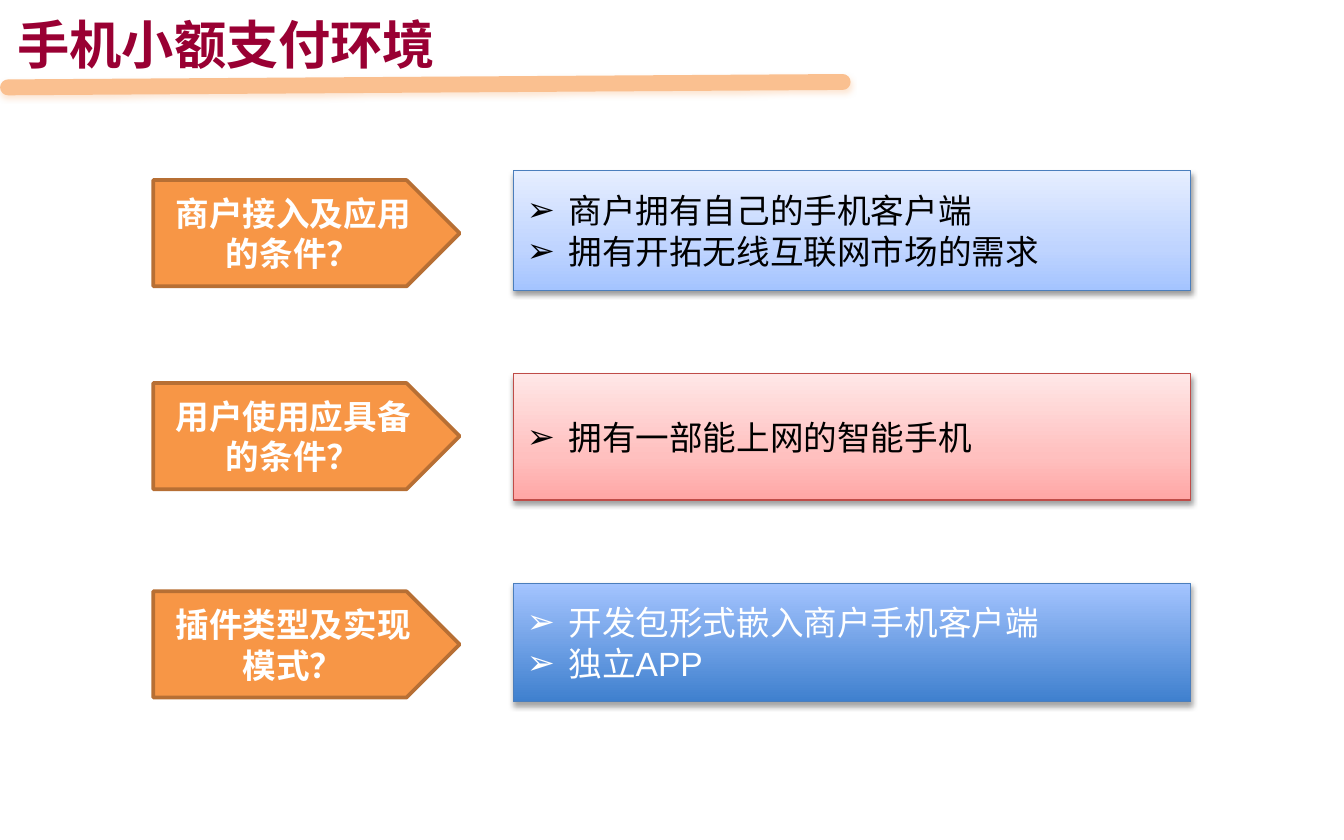
from dataclasses import dataclass

from lxml.etree import SubElement
from pptx import Presentation
from pptx.dml.color import RGBColor
from pptx.enum.shapes import MSO_CONNECTOR, MSO_SHAPE
from pptx.enum.text import MSO_ANCHOR, MSO_AUTO_SIZE, PP_ALIGN
from pptx.oxml.ns import qn
from pptx.util import Inches, Pt

COLORS = {
    "title": "990033",
    "rule": "FAC090",
    "arrow": "F79646",
    "arrow_line": "B76F34",
    "blue_line": "4B7EBC",
    "red_line": "BF4C48",
    "black": "000000",
    "white": "FFFFFF",
}
PALE_BLUE = ((0, "A4C4FF"), (35, "BFD4FF"), (100, "E6EEFF"))
PALE_RED = ((0, "FFA6A5"), (35, "FFC0BF"), (100, "FFE7E7"))
STRONG_BLUE = ((0, "3F80CE"), (100, "A4C4FF"))


@dataclass
class Topic:
    question: str
    answers: tuple[str, ...]
    arrow_top: float
    box_top: float
    box_height: float
    stops: tuple[tuple[int, str], ...]
    line: str
    text: str
    shadow_alpha: int = 38
    shadow_dist: float = 1.6


TOPICS = [
    Topic("商户接入及应用的条件？", ("商户拥有自己的手机客户端", "拥有开拓无线互联网市场的需求"),
          1.34, 1.27, 0.89, PALE_BLUE, "blue_line", "black"),
    Topic("用户使用应具备的条件？", ("拥有一部能上网的智能手机",),
          2.85, 2.78, 0.94, PALE_RED, "red_line", "black"),
    Topic("插件类型及实现模式？", ("开发包形式嵌入商户手机客户端", "独立APP"),
          4.4, 4.34, 0.88, STRONG_BLUE, "blue_line", "white", 35, 1.8),
]


def rgb(name: str) -> RGBColor:
    return RGBColor.from_string(COLORS[name])


def place(sp, left: float, top: float, width: float, height: float) -> None:
    sp.left, sp.top = Inches(left), Inches(top)
    sp.width, sp.height = Inches(width), Inches(height)


def format_runs(p, font: str, size: int, color: str, bold: bool) -> None:
    for r in p.runs:
        r.font.name, r.font.size, r.font.bold = font, Pt(size), bold
        r.font.color.rgb = rgb(color)


def add_shadow(sp, color: str, alpha: int, dist: float) -> None:
    effects = SubElement(sp._element.spPr, qn("a:effectLst"))
    shadow = SubElement(effects, qn("a:outerShdw"), blurRad=str(Pt(3.1)),
                        dist=str(Pt(dist)), dir="5400000", rotWithShape="0")
    clr = SubElement(shadow, qn("a:srgbClr"), val=COLORS[color])
    SubElement(clr, qn("a:alpha"), val=str(alpha * 1000))


def set_gradient(sp, stops: tuple[tuple[int, str], ...]) -> None:
    sp.fill.gradient()
    sp.fill.gradient_angle = 90
    gs_list = sp._element.spPr.find(qn("a:gradFill")).find(qn("a:gsLst"))
    for gs in list(gs_list):
        gs_list.remove(gs)
    for position, color in stops:
        gs = SubElement(gs_list, qn("a:gs"), pos=str(position * 1000))
        SubElement(gs, qn("a:srgbClr"), val=color)


def set_bullet(p) -> None:
    pPr = p._p.get_or_add_pPr()
    pPr.set("marL", str(Inches(0.31)))
    pPr.set("indent", str(Inches(-0.31)))
    SubElement(pPr, qn("a:buFont"), typeface="Arial")
    SubElement(pPr, qn("a:buChar"), char="➢")


def add_question(s, topic: Topic) -> None:
    sp = s.shapes.add_shape(MSO_SHAPE.PENTAGON, Inches(1.14), Inches(topic.arrow_top),
                            Inches(2.28), Inches(0.79))
    sp.shadow.inherit = False
    sp.fill.solid()
    sp.fill.fore_color.rgb = rgb("arrow")
    sp.line.color.rgb = rgb("arrow_line")
    sp.line.width = Pt(2)
    tf = sp.text_frame
    tf.text = topic.question
    tf.word_wrap = True
    tf.vertical_anchor = MSO_ANCHOR.MIDDLE
    tf.paragraphs[0].alignment = PP_ALIGN.CENTER
    format_runs(tf.paragraphs[0], "Calibri", 18, "white", True)


def fill_answers(sp, topic: Topic) -> None:
    place(sp, 3.82, topic.box_top, 5.04, topic.box_height)
    set_gradient(sp, topic.stops)
    sp.line.color.rgb = rgb(topic.line)
    sp.line.width = Pt(0.75)
    add_shadow(sp, "black", topic.shadow_alpha, topic.shadow_dist)
    tf = sp.text_frame
    tf.text = "\n".join(topic.answers)
    tf.word_wrap = True
    tf.auto_size = MSO_AUTO_SIZE.NONE
    tf.vertical_anchor = MSO_ANCHOR.MIDDLE
    for p in tf.paragraphs:
        p.space_before = Pt(0)
        set_bullet(p)
        format_runs(p, "Arial", 18, topic.text, False)


def add_rule(s) -> None:
    rule = s.shapes.add_connector(MSO_CONNECTOR.STRAIGHT, Inches(0.06), Inches(0.65),
                                  Inches(6.27), Inches(0.61))
    rule.line.color.rgb = rgb("rule")
    rule.line.width = Pt(8.5)
    rule.line._ln.set("cap", "rnd")
    add_shadow(rule, "rule", 38, 1.6)


def set_title(s, text: str) -> None:
    sp = s.shapes.title
    place(sp, 0.03, 0.04, 3.36, 0.57)
    tf = sp.text_frame
    tf.text = text
    tf.word_wrap = False
    tf.auto_size = MSO_AUTO_SIZE.NONE
    tf.vertical_anchor = MSO_ANCHOR.TOP
    tf.paragraphs[0].alignment = PP_ALIGN.LEFT
    format_runs(tf.paragraphs[0], "Arial", 28, "title", True)


def main() -> None:
    prs = Presentation()
    prs.slide_width, prs.slide_height = Inches(10), Inches(6.25)
    s = prs.slides.add_slide(prs.slide_layouts.get_by_name("Comparison"))
    set_title(s, "手机小额支付环境")
    bodies = [sp for sp in s.placeholders if sp.placeholder_format.idx > 0]
    for topic, body in zip(TOPICS, bodies):
        add_question(s, topic)
        fill_answers(body, topic)
    for spare in bodies[len(TOPICS):]:
        spare._element.getparent().remove(spare._element)
    add_rule(s)
    prs.save("out.pptx")


if __name__ == "__main__":
    main()
